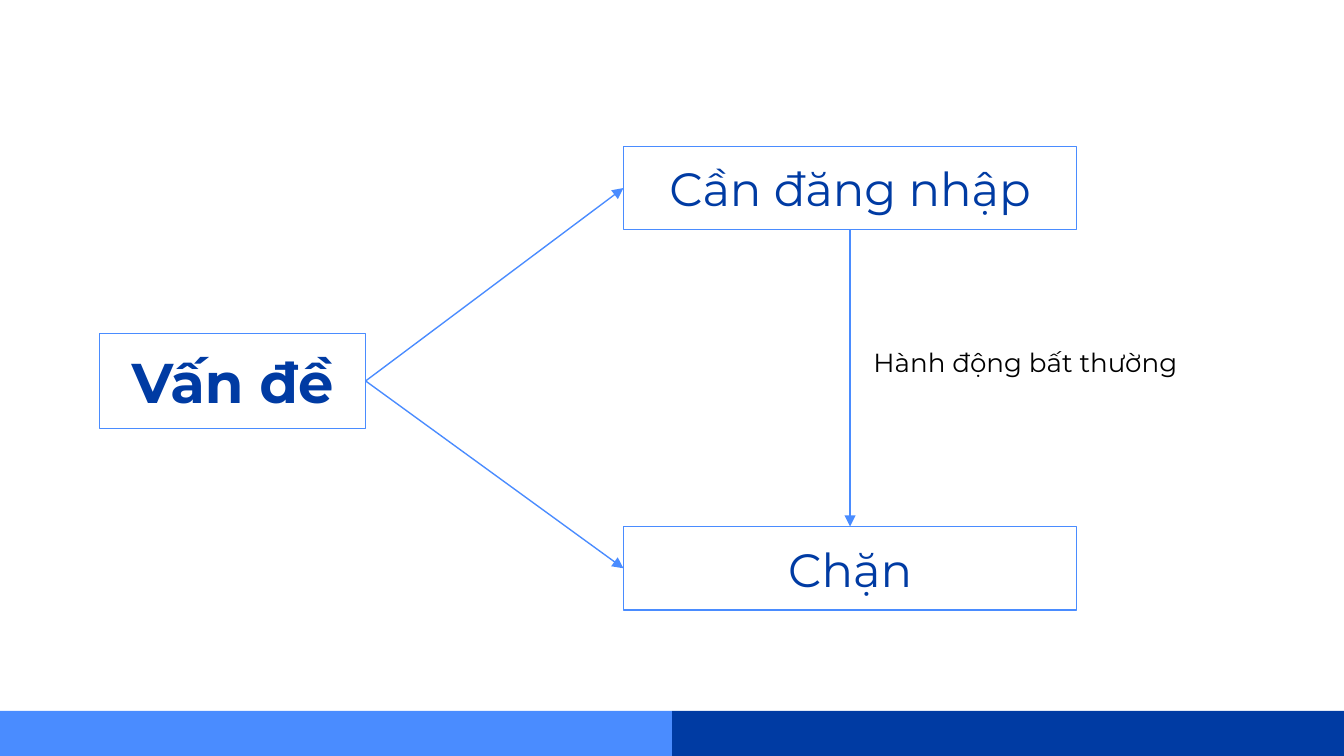
from dataclasses import dataclass

from lxml.etree import SubElement
from pptx import Presentation
from pptx.dml.color import RGBColor
from pptx.enum.shapes import MSO_CONNECTOR, MSO_SHAPE
from pptx.enum.text import MSO_ANCHOR, PP_ALIGN
from pptx.oxml.ns import qn
from pptx.util import Pt


@dataclass(frozen=True)
class Theme:
    font: str = "Montserrat"
    navy: RGBColor = RGBColor(0x00, 0x3B, 0xA3)
    blue: RGBColor = RGBColor(0x4A, 0x8C, 0xFF)
    black: RGBColor = RGBColor(0, 0, 0)
    title_size: float = 30
    box_size: float = 25
    label_size: float = 14
    line_width: float = 0.75


THEME = Theme()
SLIDE_W, SLIDE_H = 720, 405
FOOTER_H = 24.2
TOP, LEFT, BOTTOM, RIGHT = range(4)  # connection sites of a rectangle


def write_text(s, text, *, size, color, bold=False, align=PP_ALIGN.LEFT,
               anchor=MSO_ANCHOR.TOP):
    tf = s.text_frame
    tf.word_wrap = True
    tf.vertical_anchor = anchor
    tf.margin_left = tf.margin_right = tf.margin_top = tf.margin_bottom = Pt(7.2)
    p = tf.paragraphs[0]
    p.alignment = align
    r = p.add_run()
    r.text = text
    r.font.name = THEME.font
    r.font.size = Pt(size)
    r.font.bold = bold
    r.font.color.rgb = color


def add_rect(sl, x, y, w, h):
    s = sl.shapes.add_shape(MSO_SHAPE.RECTANGLE, Pt(x), Pt(y), Pt(w), Pt(h))
    s.shadow.inherit = False
    return s


def add_footer_bar(sl, x, color):
    s = add_rect(sl, x, SLIDE_H - FOOTER_H, SLIDE_W / 2, FOOTER_H)
    s.fill.solid()
    s.fill.fore_color.rgb = color
    s.line.fill.background()


def add_box(sl, text, x, y, w, h, *, size=THEME.box_size, bold=False):
    s = add_rect(sl, x, y, w, h)
    s.fill.background()
    s.line.color.rgb = THEME.blue
    s.line.width = Pt(THEME.line_width)
    write_text(s, text, size=size, color=THEME.navy, bold=bold,
               align=PP_ALIGN.CENTER, anchor=MSO_ANCHOR.MIDDLE)
    return s


def add_arrow(sl, start, start_site, end, end_site):
    """Join two boxes with a straight arrow between their connection sites."""
    c = sl.shapes.add_connector(MSO_CONNECTOR.STRAIGHT, 0, 0, 0, 0)
    c.begin_connect(start, start_site)
    c.end_connect(end, end_site)
    c.line.color.rgb = THEME.blue
    c.line.width = Pt(THEME.line_width)
    SubElement(c.line._get_or_add_ln(), qn("a:tailEnd"), type="triangle")
    SubElement(c._element.spPr, qn("a:effectLst"))


def add_label(sl, text, x, y, w, h):
    s = sl.shapes.add_textbox(Pt(x), Pt(y), Pt(w), Pt(h))
    write_text(s, text, size=THEME.label_size, color=THEME.black)


def main():
    prs = Presentation()
    prs.slide_width, prs.slide_height = Pt(SLIDE_W), Pt(SLIDE_H)
    sl = prs.slides.add_slide(prs.slide_layouts[6])

    add_footer_bar(sl, SLIDE_W / 2, THEME.navy)
    add_footer_bar(sl, 0, THEME.blue)

    problem = add_box(sl, "Vấn đề", 53.3, 178.6, 142.6, 51,
                      size=THEME.title_size, bold=True)
    login, block = [add_box(sl, text, 334, y, 242.8, 44.7)
                    for text, y in (("Cần đăng nhập", 78.4), ("Chặn", 282.1))]

    for target in (login, block):
        add_arrow(sl, problem, RIGHT, target, LEFT)
    add_arrow(sl, login, BOTTOM, block, TOP)
    add_label(sl, "Hành động bất thường", 460.8, 178.6, 206, 31.7)

    prs.save("out.pptx")


if __name__ == "__main__":
    main()
